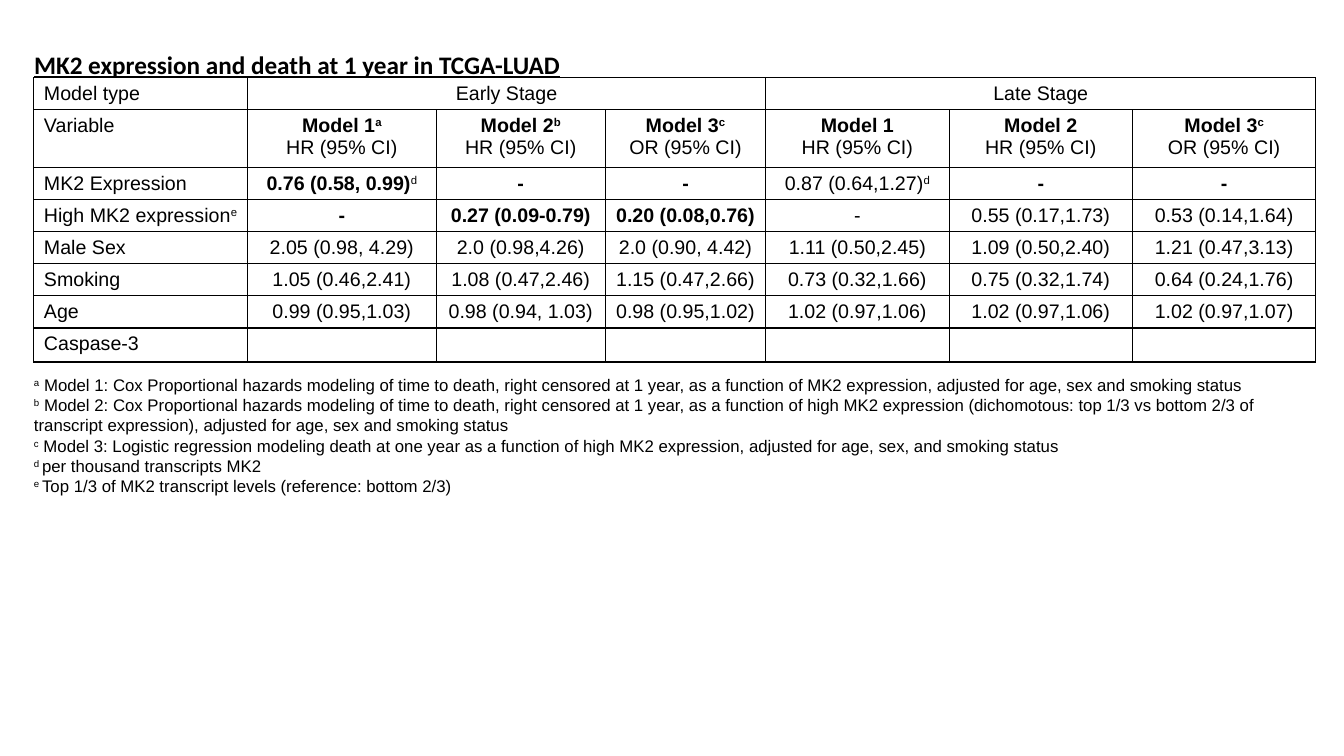
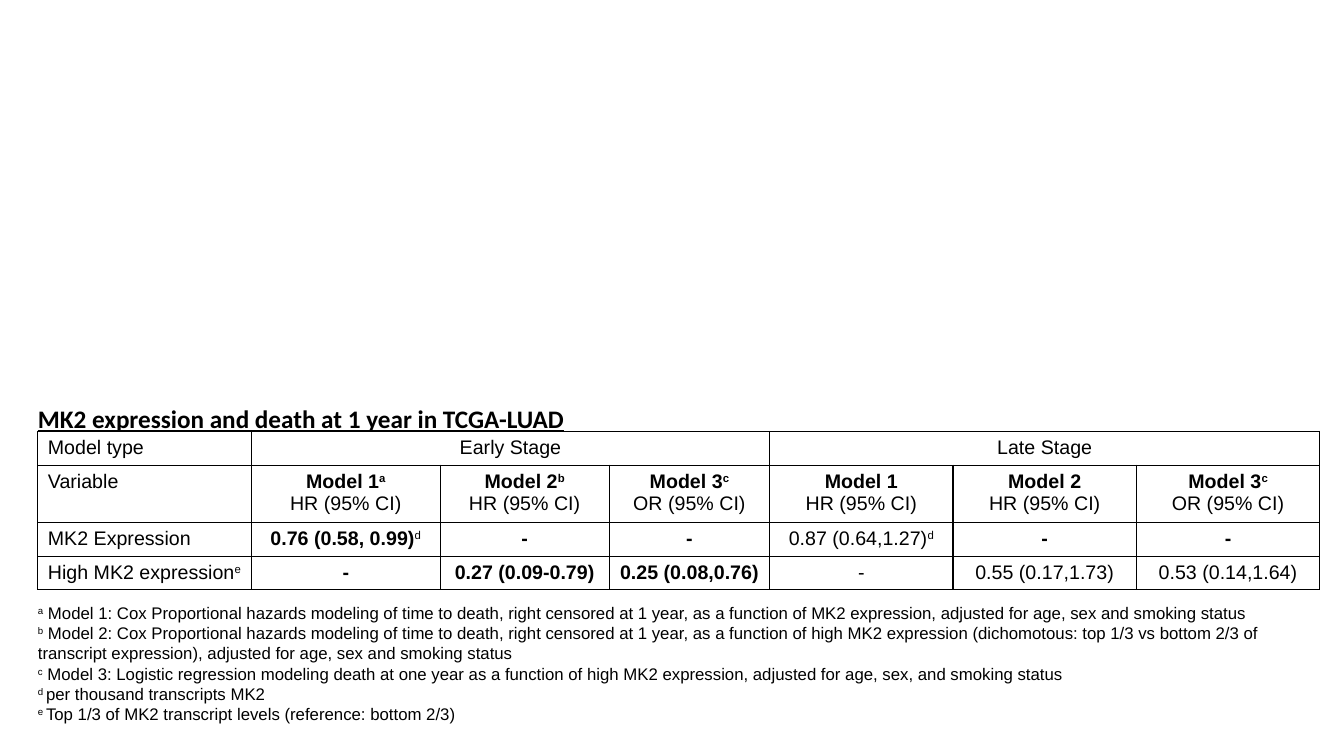
from lxml.etree import SubElement
from pptx import Presentation
from pptx.dml.color import RGBColor
from pptx.enum.text import MSO_AUTO_SIZE, PP_ALIGN
from pptx.oxml import parse_xml
from pptx.oxml.ns import nsdecls, qn
from pptx.util import Pt

BLACK = "000000"
BODY_FONT = "Arial"
TITLE_FONT = "Calibri"
TABLE_SIZE = 14
NOTE_SIZE = 12

TITLE = "MK2 expression and death at 1 year in TCGA-LUAD"
COLUMN_WIDTHS = [152.6, 134.8, 120.8, 114.6, 131, 131, 131]
ROW_HEIGHT = 22.9
HEADER_HEIGHT = 41
TEXT_INSET = 7

# A line of text is a list of (text, style) runs; style letters: b bold, s superscript.
# A cell is a plain string or a list of such lines.
DASH = [[("-", "b")]]


def model_header(name, mark, measure):
    runs = [(name, "b")] + ([(mark, "bs")] if mark else [])
    return [runs, [(f"{measure} (95% CI)", "")]]


def marked(text, mark, style=""):
    return [[(text, style), (mark, "s")]]


def bold(text):
    return [[(text, "b")]]


def main_rows(high_expression_odds):
    """Header rows and the two expression rows that both tables share."""
    return [
        ["Model type", "Early Stage", "", "", "Late Stage", "", ""],
        ["Variable",
         model_header("Model 1", "a", "HR"),
         model_header("Model 2", "b", "HR"),
         model_header("Model 3", "c", "OR"),
         model_header("Model 1", "", "HR"),
         model_header("Model 2", "", "HR"),
         model_header("Model 3", "c", "OR")],
        ["MK2 Expression", marked("0.76 (0.58, 0.99)", "d", "b"), DASH, DASH,
         marked("0.87 (0.64,1.27)", "d"), DASH, DASH],
        [marked("High MK2 expression", "e"), DASH, bold("0.27 (0.09-0.79)"),
         bold(high_expression_odds), "-", "0.55 (0.17,1.73)", "0.53 (0.14,1.64)"],
    ]


COVARIATE_ROWS = [
    ["Male Sex", "2.05 (0.98, 4.29)", "2.0 (0.98,4.26)", "2.0 (0.90, 4.42)",
     "1.11 (0.50,2.45)", "1.09 (0.50,2.40)", "1.21 (0.47,3.13)"],
    ["Smoking", "1.05 (0.46,2.41)", "1.08 (0.47,2.46)", "1.15 (0.47,2.66)",
     "0.73 (0.32,1.66)", "0.75 (0.32,1.74)", "0.64 (0.24,1.76)"],
    ["Age", "0.99 (0.95,1.03)", "0.98 (0.94, 1.03)", "0.98 (0.95,1.02)",
     "1.02 (0.97,1.06)", "1.02 (0.97,1.06)", "1.02 (0.97,1.07)"],
    ["Caspase-3", "", "", "", "", "", ""],
]

FOOTNOTES = [
    [("a", "s"), (" Model 1: Cox Proportional hazards modeling of time to death, right censored "
                  "at 1 year, as a function of MK2 expression, adjusted for age, sex and "
                  "smoking status", "")],
    [("b", "s"), (" Model 2: Cox Proportional hazards modeling of time to death, right censored "
                  "at 1 year, as a function of high MK2 expression (dichomotous: top 1/3 vs "
                  "bottom 2/3 of transcript expression), adjusted for age, sex and "
                  "smoking status", "")],
    [("c", "s"), (" Model 3: Logistic regression modeling death at one year as a function of "
                  "high MK2 expression, adjusted for age, sex, and smoking status", "")],
    [("d ", "s"), ("per thousand transcripts MK2", "")],
    [("e ", "s"), ("Top 1/3 of MK2 transcript levels (reference: bottom 2/3)", "")],
]


def color(value):
    return RGBColor.from_string(value)


def write_lines(text_frame, lines, size, font_name=BODY_FONT, alignment=PP_ALIGN.LEFT):
    for index, runs in enumerate(lines):
        paragraph = text_frame.paragraphs[0] if index == 0 else text_frame.add_paragraph()
        paragraph.alignment = alignment
        for text, style in runs:
            run = paragraph.add_run()
            run.text = text
            run.font.size = Pt(size)
            run.font.name = font_name
            run.font.bold = "b" in style
            run.font.color.rgb = color(BLACK)
            if "s" in style:
                run.font._element.set("baseline", "30000")


def add_text(slide, left, top, width, height, lines, size, font_name=BODY_FONT):
    text_frame = slide.shapes.add_textbox(Pt(left), Pt(top), Pt(width), Pt(height)).text_frame
    text_frame.word_wrap = True
    text_frame.auto_size = MSO_AUTO_SIZE.SHAPE_TO_FIT_TEXT
    write_lines(text_frame, lines, size, font_name)
    return text_frame


def add_borders(cell):
    properties = cell._tc.get_or_add_tcPr()
    for index, side in enumerate(("lnL", "lnR", "lnT", "lnB")):
        line = parse_xml(f'<a:{side} {nsdecls("a")} w="{Pt(1)}"><a:solidFill>'
                         f'<a:srgbClr val="{BLACK}"/></a:solidFill></a:{side}>')
        properties.insert(index, line)


def fill_cell(cell, content, alignment):
    cell.fill.background()
    add_borders(cell)
    if content:
        lines = [[(content, "")]] if isinstance(content, str) else content
        write_lines(cell.text_frame, lines, TABLE_SIZE, alignment=alignment)
    else:
        paragraph = cell.text_frame.paragraphs[0]
        SubElement(paragraph._p, qn("a:endParaRPr"), sz=str(TABLE_SIZE * 100))


def add_model_table(slide, left, top, rows):
    heights = [HEADER_HEIGHT if index == 1 else ROW_HEIGHT for index in range(len(rows))]
    table = slide.shapes.add_table(len(rows), len(COLUMN_WIDTHS), Pt(left), Pt(top),
                                   Pt(sum(COLUMN_WIDTHS)), Pt(sum(heights))).table
    table.first_row = False
    table.horz_banding = False
    for column, width in zip(table.columns, COLUMN_WIDTHS):
        column.width = Pt(width)
    for row_index, (contents, height) in enumerate(zip(rows, heights)):
        table.rows[row_index].height = Pt(height)
        for column_index, content in enumerate(contents):
            alignment = PP_ALIGN.CENTER if column_index else PP_ALIGN.LEFT
            fill_cell(table.cell(row_index, column_index), content, alignment)
    for first_column in (1, 4):
        table.cell(0, first_column).merge(table.cell(0, first_column + 2))


def add_model_slide(presentation, left, table_top, notes_top, rows):
    slide = presentation.slides.add_slide(presentation.slide_layouts[6])
    add_model_table(slide, left, table_top, rows)
    text_left = left - TEXT_INSET
    title = add_text(slide, text_left, table_top - 23.8, 417, 29,
                     [[(TITLE, "b")]], 18, TITLE_FONT)
    title.paragraphs[0].runs[0].font.underline = True
    add_text(slide, text_left, notes_top, 911.5, 104.4, FOOTNOTES, NOTE_SIZE)


def main():
    presentation = Presentation()
    presentation.slide_width = Pt(960)
    presentation.slide_height = Pt(540)
    add_model_slide(presentation, 24.2, 55.5, 264.2,
                    main_rows("0.20 (0.08,0.76)") + COVARIATE_ROWS)
    add_model_slide(presentation, 27, 308.2, 427, main_rows("0.25 (0.08,0.76)"))
    presentation.save("out.pptx")


if __name__ == "__main__":
    main()
